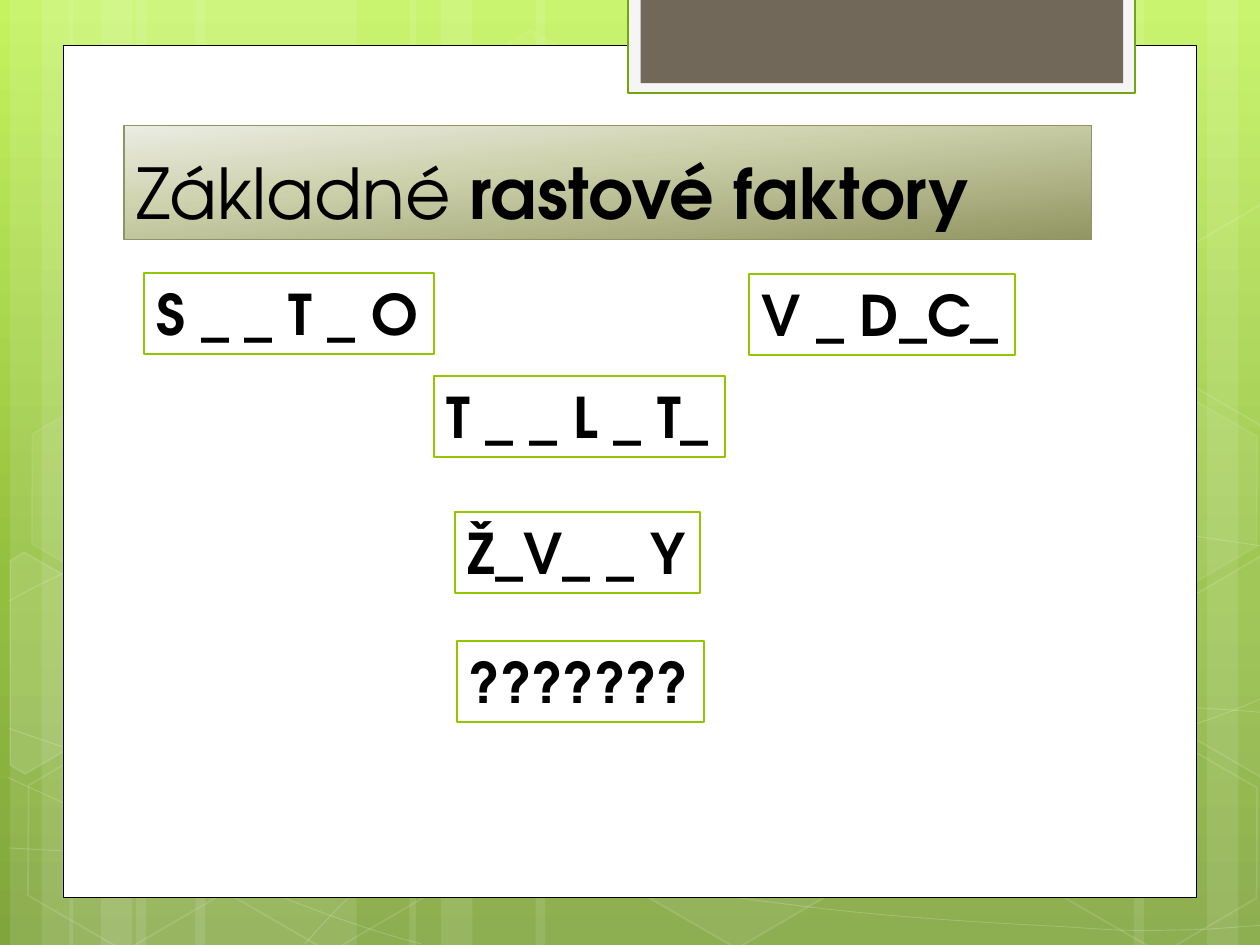
from copy import deepcopy
from dataclasses import dataclass
from math import cos, radians, sin
from typing import Optional

from lxml.etree import SubElement
from pptx import Presentation
from pptx.dml.color import RGBColor as Rgb
from pptx.dml.fill import FillFormat as Fill
from pptx.enum.shapes import MSO_SHAPE as Kind
from pptx.enum.text import MSO_ANCHOR as Anchor, MSO_AUTO_SIZE as Fit, PP_ALIGN as Align
from pptx.oxml.ns import qn
from pptx.util import Inches, Pt

COLS, ROWS = 100, 75
CELL = Inches(0.1)
FONT = "TeX Gyre Adventor"
WHITE, BLACK = "FFFFFF", "000000"
TILT = 30


@dataclass
class Ink:
    tone: str
    alpha: int = 100
    width: float = 1


@dataclass
class Box:
    x: float
    y: float
    w: float
    h: float
    fill: Optional[Ink] = None
    line: Optional[Ink] = None


@dataclass
class Hex:
    x: float
    y: float
    fill: int
    line: int


@dataclass
class Shard:
    mid: tuple
    pts: list
    fill: int


@dataclass
class Word:
    text: str
    x: float
    y: float
    w: float


STRIPES = [
    (10.8, 17.5), (0.8, 5), (3.3, 8.3), (15.5, 17.5), (5.5, 5), (8, 8.3),
    (73.3, 17.5), (95.8, 5), (90, 8.3), (42.5, 30.8), (32.5, 5), (35, 8.3),
]
WAVES = [
    [(0.7, 67.3), (6.1, 67.6), (11.5, 67.9), (19, 67.8), (26.5, 67.7), (35.8, 67.5),
     (45.8, 66.5), (55.8, 65.5), (70, 63.6), (79.2, 61.7), (88.3, 59.8), (97.7, 56.8),
     (100.7, 55.1)],
    [(0.7, 47.7), (3.6, 46.1), (6.5, 44.6), (12.1, 43.1), (17.8, 41.6), (25.9, 39.4),
     (34.7, 38.7), (43.6, 38), (54.4, 37.9), (65.4, 38.7), (76.4, 39.5), (94.7, 42.6),
     (100.7, 43.4)],
    [(0.6, 61.7), (12.7, 67.2), (24.7, 72.7), (33.4, 74.9)],
    [(0.7, 57.8), (3.8, 58.9), (7, 60), (12.8, 61.6), (18.6, 63.1), (27.3, 65.6),
     (35.7, 67.3), (44, 69), (54.5, 70.8), (62.8, 71.8), (71.1, 72.9), (80, 73.3),
     (85.3, 73.6), (90.5, 74), (91.9, 73.8), (94.5, 73.8), (97.1, 73.7), (98.9, 73.5),
     (100.7, 73.4)],
    [(24.2, 74.9), (26, 72.9), (27.8, 70.9), (30.2, 69.1), (32.6, 67.3), (36, 65.3),
     (38.8, 63.9), (41.6, 62.5), (43.3, 61.9), (47, 60.9), (50.6, 59.9), (57.3, 58.5),
     (60.8, 57.8), (64.4, 57.1), (64.9, 57.1), (68, 56.9), (71.1, 56.6), (76, 56.3),
     (79.4, 56.2), (82.9, 56.1), (88.6, 56.2), (88.6, 56.2), (90.8, 56.2), (93.1, 56.2),
     (95.3, 56.2), (97.1, 56.3), (98.8, 56.4), (100.6, 56.6)],
]
HEXES = [
    Hex(33.4, 3.6, 4, 8), Hex(49.7, 58.9, 6, 12), Hex(1.1, 59.1, 0, 12),
    Hex(1.4, 31.2, 7, 8), Hex(17.4, 59.2, 0, 12), Hex(75.3, 45.3, 10, 12),
    Hex(83.4, 59.3, 0, 12), Hex(83.4, 31.4, 7, 8),
]
EDGE = [(92.6, 48.5), (100.1, 44.1), (100.9, 44.6), (100.9, 61.3), (100.2, 61.7), (92.6, 57.3)]
RISE = 27.9
SHARDS = [
    Shard((3.6, 53.5), [(0.8, 44.5), (1.9, 43.8), (9.6, 48.2), (9.5, 57), (2, 61.4),
                        (0.8, 60.7)], 10),
    Shard((98.5, 52), EDGE, 4),
    Shard((98.5, 52 - RISE), [(x, y - RISE) for x, y in EDGE], 0),
]
PANELS = [
    Box(5, 3.6, 90, 67.65, Ink(WHITE), Ink(BLACK, width=0.5)),
    Box(49.86, -0.2, 40.2, 7.6, Ink("F5F5F5"), Ink("74A510", width=1.25)),
    Box(50.85, -0.2, 38.3, 6.8, Ink("71685A")),
]
WORDS = [
    Word("S _ _ T _ O", 11.43, 21.7, 23.04), Word("T _ _ L _ T_", 34.45, 29.85, 23.1),
    Word("V _ D_C_", 59.44, 21.77, 21.1), Word("Ž_V_ _ Y", 36.12, 40.65, 19.45),
    Word("???????", 36.3, 50.9, 19.6),
]


def emu(n: float) -> int:
    return round(n * CELL)


def paint(fill: Fill, ink: Optional[Ink]) -> None:
    if ink is None or ink.alpha == 0:
        fill.background()
        return
    fill.solid()
    fill.fore_color.rgb = Rgb.from_string(ink.tone)
    if ink.alpha < 100:
        SubElement(fill.fore_color._color._xClr, qn("a:alpha"), val=str(ink.alpha * 1000))


def blend(fill: Fill, stops: list, angle: int) -> None:
    fill.gradient()
    fill.gradient_angle = 360 - angle
    last = fill.gradient_stops[1]._gs
    last.addnext(deepcopy(last))
    for stop, (place, tone) in zip(fill.gradient_stops, stops):
        stop.position = place
        stop.color.rgb = Rgb.from_string(tone)


def style(shape, fill: Optional[Ink], line: Optional[Ink]):
    shape.shadow.inherit = False
    paint(shape.fill, fill)
    paint(shape.line.fill, line)
    if line:
        shape.line.width = Pt(line.width)
    return shape


def block(slide, box: Box, kind: Kind = Kind.RECTANGLE):
    shape = slide.shapes.add_shape(kind, *map(emu, (box.x, box.y, box.w, box.h)))
    return style(shape, box.fill, box.line)


def trace(slide, pts: list, close: bool, fill: Optional[Ink], line: Ink):
    spots = [(emu(x), emu(y)) for x, y in pts]
    form = slide.shapes.build_freeform(*spots[0])
    form.add_line_segments(spots[1:], close=close)
    return style(form.convert_to_shape(), fill, line)


def bend(shape) -> None:
    track = next(shape._element.iter(qn("a:path")))
    legs = track.findall(qn("a:lnTo"))
    for i in range(0, len(legs), 3):
        arc = SubElement(track, qn("a:cubicBezTo"))
        for leg in legs[i:i + 3]:
            arc.append(leg[0])
            track.remove(leg)


def level(shard: Shard) -> list:
    mx, my = shard.mid
    c, s = cos(radians(TILT)), sin(radians(TILT))
    pts = [(mx + (x - mx) * c + (y - my) * s, my + (y - my) * c - (x - mx) * s)
           for x, y in shard.pts]
    return pts + pts[:1]


def write(shape, runs: list, size: int, anchor: Anchor) -> None:
    frame = shape.text_frame
    frame.vertical_anchor = anchor
    para = frame.paragraphs[0]
    para.alignment = Align.LEFT
    para.font.name = FONT
    para.font.size = Pt(size)
    para.font.color.rgb = Rgb.from_string(BLACK)
    for text, bold in runs:
        run = para.add_run()
        run.text = text
        run.font.bold = bold


def scene(slide) -> None:
    blend(slide.background.fill, [(0, "C3F35F"), (0.62, "93BF3F"), (1, "81A53E")], 90)
    for x, w in STRIPES:
        block(slide, Box(x, 0, w, ROWS, Ink(WHITE, 10)))
    for wave in WAVES:
        bend(trace(slide, wave, False, None, Ink(WHITE, 20, 0.5)))
    for cell in HEXES:
        box = Box(cell.x, cell.y, 17.5, 15.2, Ink(WHITE, cell.fill), Ink(WHITE, cell.line))
        shape = block(slide, box, Kind.HEXAGON)
        shape.adjustments[0] = 0.285
        shape.rotation = TILT
    for shard in SHARDS:
        shape = trace(slide, level(shard), True, Ink(WHITE, shard.fill), Ink(WHITE, 12))
        shape.rotation = TILT
    for panel in PANELS:
        block(slide, panel)


def main() -> None:
    deck = Presentation()
    deck.slide_width, deck.slide_height = emu(COLS), emu(ROWS)
    slide = deck.slides.add_slide(deck.slide_layouts[6])
    scene(slide)
    title = block(slide, Box(9.84, 9.94, 76.8, 9.06, None, Ink("909465", width=0.75)))
    blend(title.fill, [(0, "EBECE3"), (0.4, "CDD1AB"), (1, "929663")], 84)
    write(title, [("Základné ", False), ("rastové faktory", True)], 40, Anchor.BOTTOM)
    for word in WORDS:
        box = Box(word.x, word.y, word.w, 6.4, Ink(WHITE), Ink("94C600", width=1.25))
        card = block(slide, box)
        write(card, [(word.text, True)], 32, Anchor.TOP)
        card.text_frame.word_wrap = False
        card.text_frame.auto_size = Fit.SHAPE_TO_FIT_TEXT
    deck.save("out.pptx")


if __name__ == "__main__":
    main()
